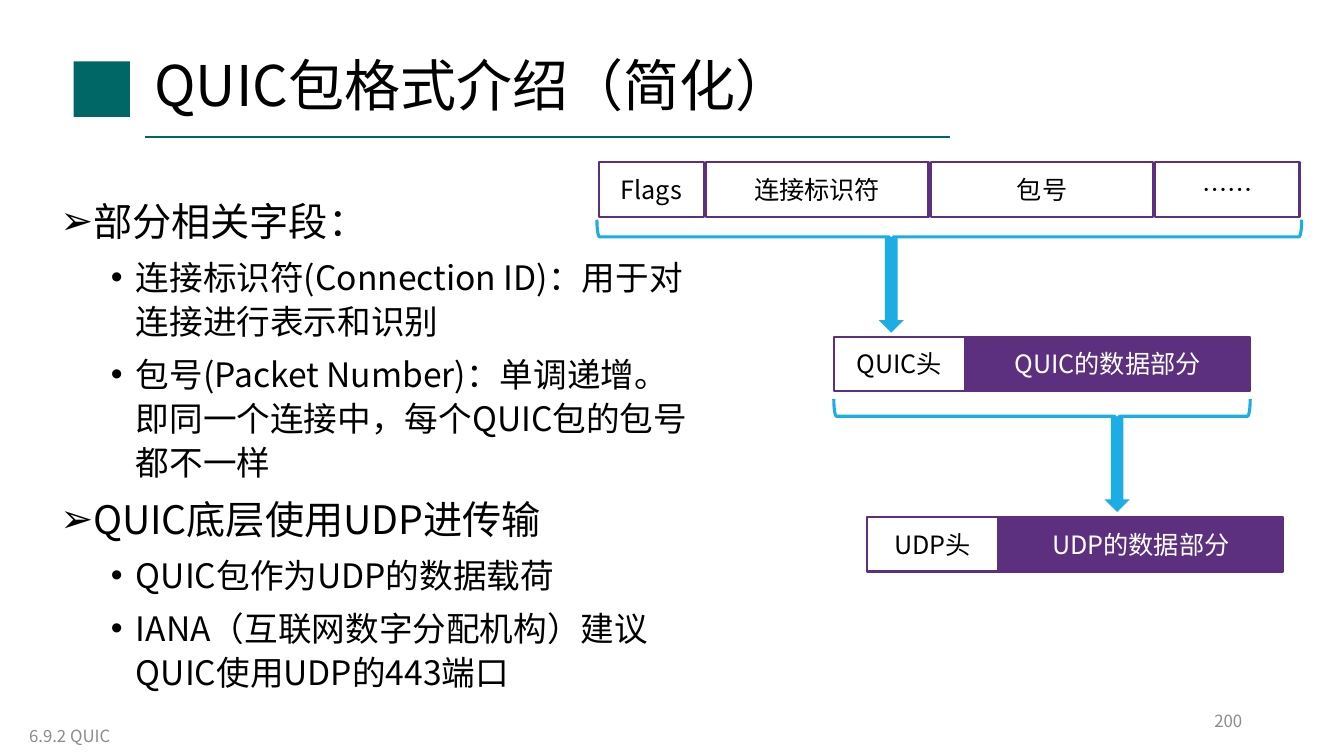
import pptx
import pptx.dml.color
import pptx.enum.shapes
import pptx.enum.text
import pptx.oxml.ns
import pptx.util
from lxml import etree

SHAPE = pptx.enum.shapes.MSO_SHAPE
ALIGN = pptx.enum.text.PP_ALIGN
ANCHOR = pptx.enum.text.MSO_ANCHOR
qn = pptx.oxml.ns.qn
EMU_PER_PX = 9144  # 100 px to the inch


def px(length):
    return pptx.util.Emu(int(length * EMU_PER_PX))


def colour(hex_string):
    return pptx.dml.color.RGBColor.from_string(hex_string)


class PacketSlide:
    FONT = "Noto Sans CJK SC"
    BLACK, WHITE, GREY = "000000", "FFFFFF", "8C8C8C"
    TEAL, PURPLE, BLUE = "006666", "5C307E", "1CADE4"
    BULLETS = [("➢", 25, 28), ("•", 75, 24)]  # character, margin, text size

    def __init__(self, presentation):
        layout = presentation.slide_layouts.get_by_name("Title Only")
        self.slide = presentation.slides.add_slide(layout)

    def add_text(self, paragraph, text, size=18, color=BLACK, align=ALIGN.LEFT,
                 line_spacing=None, space_before=0):
        paragraph.alignment = align
        paragraph.line_spacing = line_spacing
        paragraph.space_before = pptx.util.Pt(space_before)
        run = paragraph.add_run()
        run.text = text
        run.font.size = pptx.util.Pt(size)
        run.font.name = self.FONT
        run.font.color.rgb = colour(color)
        east_asian = etree.SubElement(run._r.get_or_add_rPr(), qn("a:ea"))
        east_asian.set("typeface", self.FONT)

    def title(self, text, left, top, width, height):
        title = self.slide.shapes.title
        title.left, title.top = px(left), px(top)
        title.width, title.height = px(width), px(height)
        frame = title.text_frame
        frame.auto_size = pptx.enum.text.MSO_AUTO_SIZE.NONE
        frame.vertical_anchor = ANCHOR.MIDDLE
        self.add_text(frame.paragraphs[0], text, size=40, line_spacing=0.9)

    def text_frame(self, left, top, width, height, anchor):
        box = self.slide.shapes.add_textbox(
            px(left), px(top), px(width), px(height))
        box.text_frame.word_wrap = True
        box.text_frame.vertical_anchor = anchor
        return box.text_frame

    def small_print(self, text, left, top, align):
        frame = self.text_frame(left, top, 300, 40, ANCHOR.MIDDLE)
        self.add_text(frame.paragraphs[0], text, size=12, color=self.GREY, align=align)

    def outline(self, items, left, top, width, height):
        """Add (level, text) items as a bulleted list."""
        frame = self.text_frame(left, top, width, height, ANCHOR.TOP)
        for index, (level, text) in enumerate(items):
            paragraph = frame.add_paragraph() if index else frame.paragraphs[0]
            bullet, margin, size = self.BULLETS[level]
            paragraph.level = level
            properties = paragraph._p.get_or_add_pPr()
            properties.set("marL", str(px(margin)))
            properties.set("indent", str(px(-25)))
            etree.SubElement(properties, qn("a:buFont")).set("typeface", "Arial")
            etree.SubElement(properties, qn("a:buChar")).set("char", bullet)
            self.add_text(paragraph, text, size=size, line_spacing=1.1,
                          space_before=6 if index else 0)

    def shape(self, kind, left, top, width, height, fill=None, line=None, line_width=1.5):
        shape = self.slide.shapes.add_shape(
            kind, px(left), px(top), px(width), px(height))
        shape.shadow.inherit = False
        if fill:
            shape.fill.solid()
            shape.fill.fore_color.rgb = colour(fill)
        else:
            shape.fill.background()
        if line:
            shape.line.color.rgb = colour(line)
            shape.line.width = pptx.util.Pt(line_width)
        else:
            shape.line.fill.background()
        return shape

    def rule(self, left, right, y):
        line = self.slide.shapes.add_connector(
            pptx.enum.shapes.MSO_CONNECTOR.STRAIGHT, px(left), px(y), px(right), px(y))
        line.line.color.rgb = colour(self.TEAL)
        line.line.width = pptx.util.Pt(1.5)
        etree.SubElement(line._element.spPr, qn("a:effectLst"))

    def packet(self, left, top, fields, gap=0):
        """Draw (text, width, filled) fields side by side."""
        for text, width, filled in fields:
            box = self.shape(SHAPE.RECTANGLE, left, top, width, 54,
                             fill=self.PURPLE if filled else None, line=self.PURPLE)
            box.text_frame.vertical_anchor = ANCHOR.MIDDLE
            self.add_text(box.text_frame.paragraphs[0], text, align=ALIGN.CENTER,
                          color=self.WHITE if filled else self.BLACK)
            left += width + gap

    def brace_and_arrow(self, left, top, width, tip):
        """Draw a brace opening upwards, with an arrow down from its tip."""
        depth = 34
        offset = (width - depth) / 2
        brace = self.shape(SHAPE.LEFT_BRACE, left + offset, top - offset, depth, width,
                           line=self.BLUE, line_width=2.25)
        brace.rotation = 270
        brace.adjustments[0] = 0.08
        brace.adjustments[1] = (tip - left) / width
        self.shape(SHAPE.DOWN_ARROW, tip - 12.5, top + depth / 2, 25, 95, fill=self.BLUE)


def main():
    presentation = pptx.Presentation()
    presentation.slide_width, presentation.slide_height = px(1333), px(750)
    page = PacketSlide(presentation)

    page.shape(SHAPE.RECTANGLE, 73, 61, 56, 55, fill=page.TEAL)
    page.rule(144, 942, 136)
    page.title("QUIC包格式介绍（简化）", 143, 40, 899, 96)
    page.outline([
        (0, "部分相关字段："),
        (1, "连接标识符(Connection ID)：用于对连接进行表示和识别"),
        (1, "包号(Packet Number)：单调递增。即同一个连接中，每个QUIC包的包号都不一样"),
        (0, "QUIC底层使用UDP进传输"),
        (1, "QUIC包作为UDP的数据载荷"),
        (1, "IANA（互联网数字分配机构）建议QUIC使用UDP的443端口"),
    ], 50, 186, 649, 515)

    page.packet(594, 161, [("Flags", 104, False), ("连接标识符", 221, False),
                           ("包号", 221, False), ("……", 143, False)], gap=2)
    for protocol, left, top in [("QUIC", 827, 334), ("UDP", 860, 513)]:
        page.packet(left, top, [(f"{protocol}头", 130, False),
                                (f"{protocol}的数据部分", 283, True)])
    page.brace_and_arrow(592, 218, 699, tip=884)
    page.brace_and_arrow(827, 396, 413, tip=1108)

    page.small_print("200", 942, 695, ALIGN.RIGHT)
    page.small_print("6.9.2 QUIC", 19, 710, ALIGN.LEFT)
    presentation.save("out.pptx")


if __name__ == "__main__":
    main()
